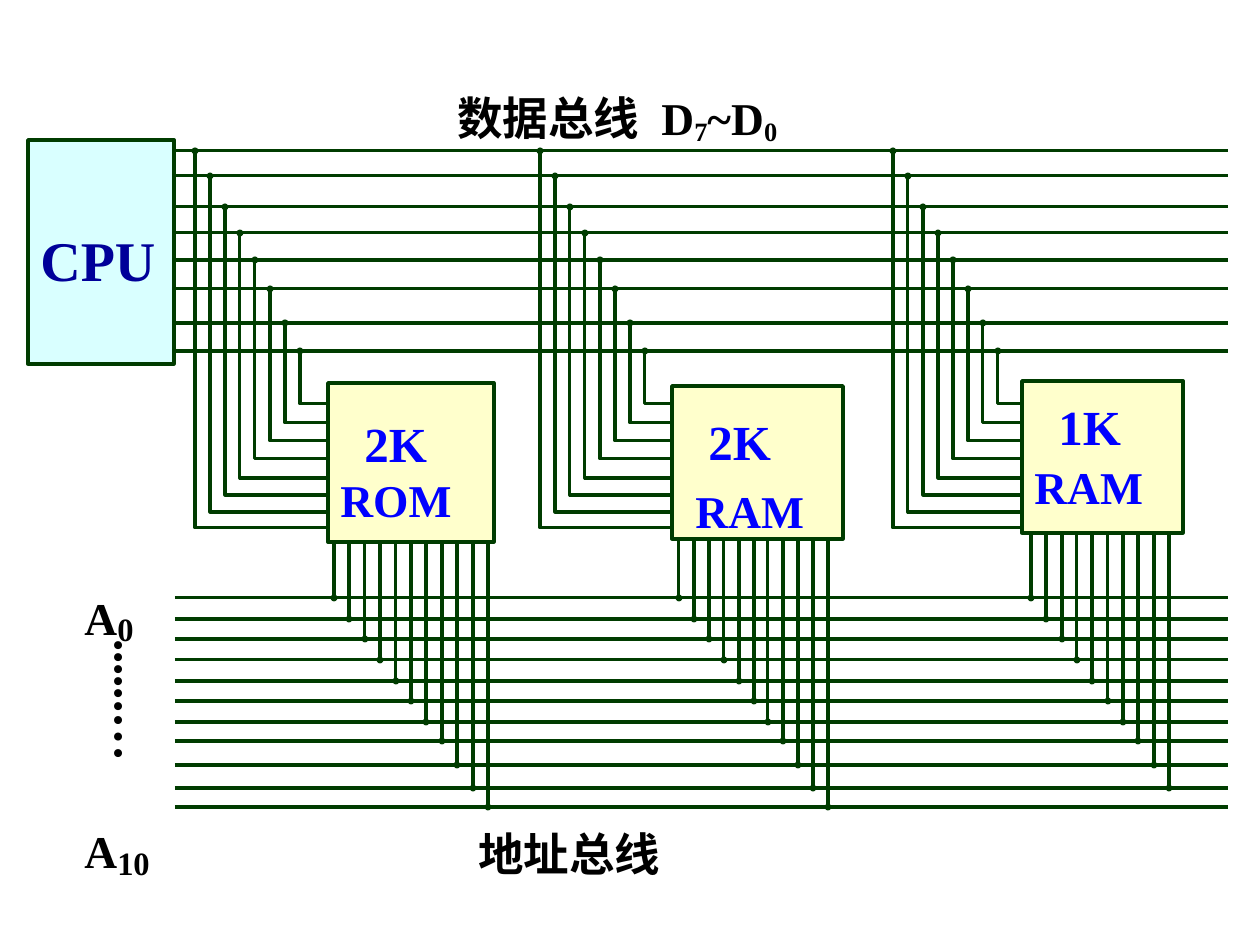
from dataclasses import dataclass

from pptx import Presentation
from pptx import util as u
from pptx.dml.color import RGBColor
from pptx.enum import shapes, text
from pptx.oxml.ns import qn
from lxml import etree

EMU_PER_PX = u.Inches(1) / 126


def px(length):
    return u.Emu(round(length * EMU_PER_PX))


@dataclass(frozen=True)
class Theme:
    font: str = "Times New Roman"
    wire: str = "003C00"
    cpu_fill: str = "D9FFFF"
    cpu_text: str = "000099"
    chip_fill: str = "FFFFCC"
    chip_text: str = "0000FF"
    label_text: str = "000000"
    cpu_size: int = 32
    capacity_size: int = 28
    label_size: int = 26
    index_size: int = 32
    wire_width: float = 1.75
    box_width: float = 2


THEME = Theme()


def add_run(paragraph, content, size=THEME.label_size, color=THEME.label_text,
            baseline=0, tracking=0):
    """Append one bold run; baseline is in percent, tracking in points."""
    run = paragraph.add_run()
    run.text = content
    run.font.name = THEME.font
    run.font.size = u.Pt(size)
    run.font.bold = True
    run.font.color.rgb = RGBColor.from_string(color)
    properties = run._r.get_or_add_rPr()
    if baseline:
        properties.set("baseline", str(baseline * 1000))
    if tracking:
        properties.set("spc", str(round(tracking * 100)))


class Diagram:
    def __init__(self, slide, theme):
        self.slide = slide
        self.theme = theme

    def style_line(self, shape, width, dot=None):
        """dot is headEnd or tailEnd, the end that carries a junction dot."""
        shape.line.color.rgb = RGBColor.from_string(self.theme.wire)
        shape.line.width = u.Pt(width)
        if dot:
            end = etree.SubElement(shape.line._get_or_add_ln(), qn(f"a:{dot}"))
            for name, value in (("type", "oval"), ("w", "sm"), ("len", "sm")):
                end.set(name, value)

    def fill_text(self, shape, paragraphs, inset_top):
        """Each paragraph is (runs, indent in px, space before in points)."""
        frame = shape.text_frame
        frame.word_wrap = True
        frame.vertical_anchor = text.MSO_ANCHOR.TOP
        frame.margin_top = px(inset_top)
        for index, (runs, indent, space) in enumerate(paragraphs):
            paragraph = frame.add_paragraph() if index else frame.paragraphs[0]
            paragraph.alignment = text.PP_ALIGN.LEFT
            if indent:
                paragraph._p.get_or_add_pPr().set("marL", str(px(indent)))
            if space:
                paragraph.space_before = u.Pt(space)
            for content, style in runs:
                add_run(paragraph, content, **style)

    def box(self, bounds, fill, paragraphs, inset_top):
        shape = self.slide.shapes.add_shape(
            shapes.MSO_SHAPE.RECTANGLE, *map(px, bounds))
        shape.shadow.inherit = False
        shape.fill.solid()
        shape.fill.fore_color.rgb = RGBColor.from_string(fill)
        self.style_line(shape, self.theme.box_width)
        self.fill_text(shape, paragraphs, inset_top)
        return shape

    def label(self, bounds, paragraphs, inset_top=6, vertical=False):
        shape = self.slide.shapes.add_textbox(*map(px, bounds))
        self.fill_text(shape, paragraphs, inset_top)
        if vertical:
            shape.text_frame._txBody.bodyPr.set("vert", "eaVert")

    def wire(self, start, end, dot=None):
        connector = self.slide.shapes.add_connector(
            shapes.MSO_CONNECTOR.STRAIGHT, *map(px, (*start, *end)))
        self.style_line(connector, self.theme.wire_width, dot)
        etree.SubElement(connector._element.spPr, qn("a:effectLst"))
        return connector

    def elbow(self, start, end):
        """Run down from the bus, then right into the chip."""
        builder = self.slide.shapes.build_freeform(*start, scale=EMU_PER_PX)
        builder.add_line_segments([(start[0], end[1]), end], close=False)
        shape = builder.convert_to_shape()
        shape.shadow.inherit = False
        shape.fill.background()
        self.style_line(shape, self.theme.wire_width, "headEnd")


DATA_BUS = [151, 176, 207, 233, 260, 289, 323, 351]
ADDRESS_BUS = [598, 619, 639, 660, 681, 701, 722, 741, 765, 788, 807]
BUS_RIGHT = 1228
CHIP_INPUTS = [528, 512, 495, 478, 459, 441, 423, 404]
DATA_PITCH = 15


@dataclass(frozen=True)
class Chip:
    capacity: str
    kind: str
    bounds: tuple
    inset_top: int
    kind_indent: int
    kind_space: int
    first_data_x: int
    address_span: tuple
    address_count: int


CHIPS = [
    Chip("2K", "ROM", (328, 383, 166, 159), 30, 0, 0, 195, (334, 488), 11),
    Chip("2K", "RAM", (672, 386, 171, 153), 26, 11, 7, 540, (679, 828), 11),
    Chip("1K", "RAM", (1022, 381, 161, 152), 16, 0, 2, 893, (1031, 1169), 10),
]


def draw_chip(diagram, chip):
    theme = diagram.theme
    left, top, width, height = chip.bounds
    capacity = {"size": theme.capacity_size, "color": theme.chip_text}
    shape = diagram.box(chip.bounds, theme.chip_fill, [
        ([(chip.capacity, capacity)], 24, 0),
        ([(chip.kind, {"color": theme.chip_text})], chip.kind_indent, chip.kind_space),
    ], chip.inset_top)

    # Data lines
    for index, (bus_y, input_y) in enumerate(zip(DATA_BUS, CHIP_INPUTS)):
        diagram.elbow((chip.first_data_x + DATA_PITCH * index, bus_y), (left, input_y))

    # Address lines
    first, last = chip.address_span
    pitch = (last - first) / (chip.address_count - 1)
    for index in range(chip.address_count):
        x = round(first + pitch * index)
        wire = diagram.wire((x, top + height), (x, ADDRESS_BUS[index]), "tailEnd")
        if 2 * x == 2 * left + width:
            wire.begin_connect(shape, 2)


def main():
    presentation = Presentation()
    presentation.slide_width = u.Inches(10)
    presentation.slide_height = u.Inches(7.5)
    slide = presentation.slides.add_slide(presentation.slide_layouts[6])
    diagram = Diagram(slide, THEME)

    # Processor
    cpu_style = {"size": THEME.cpu_size, "color": THEME.cpu_text}
    diagram.box((28, 140, 146, 224), THEME.cpu_fill, [([("CPU", cpu_style)], 0, 0)], 86)

    # Buses
    for left, rows in ((174, DATA_BUS), (175, ADDRESS_BUS)):
        for y in rows:
            diagram.wire((left, y), (BUS_RIGHT, y))

    # Memory chips with their connections
    for chip in CHIPS:
        draw_chip(diagram, chip)

    # Bus names
    subscript = {"baseline": -14}
    diagram.label((445, 84, 370, 67), [([
        ("数据总线", {}), (" ", {"tracking": 6.5}), ("D", {}), ("7", subscript),
        ("~D", {}), ("0", subscript)], 0, 0)])
    diagram.label((466, 820, 370, 67), [([("地址总线", {})], 0, 0)])

    # Address range
    index_style = {"size": THEME.index_size, "baseline": -12}
    diagram.label((72, 558, 135, 272), [
        ([("A", {}), ("0", index_style)], 0, 0),
        ([("A", {}), ("10", index_style)], 0, 94)], inset_top=21)
    diagram.label((86, 627, 84, 147),
                  [([("......…", {"size": THEME.capacity_size})], 0, 0)],
                  inset_top=12, vertical=True)

    presentation.save("out.pptx")


if __name__ == "__main__":
    main()
